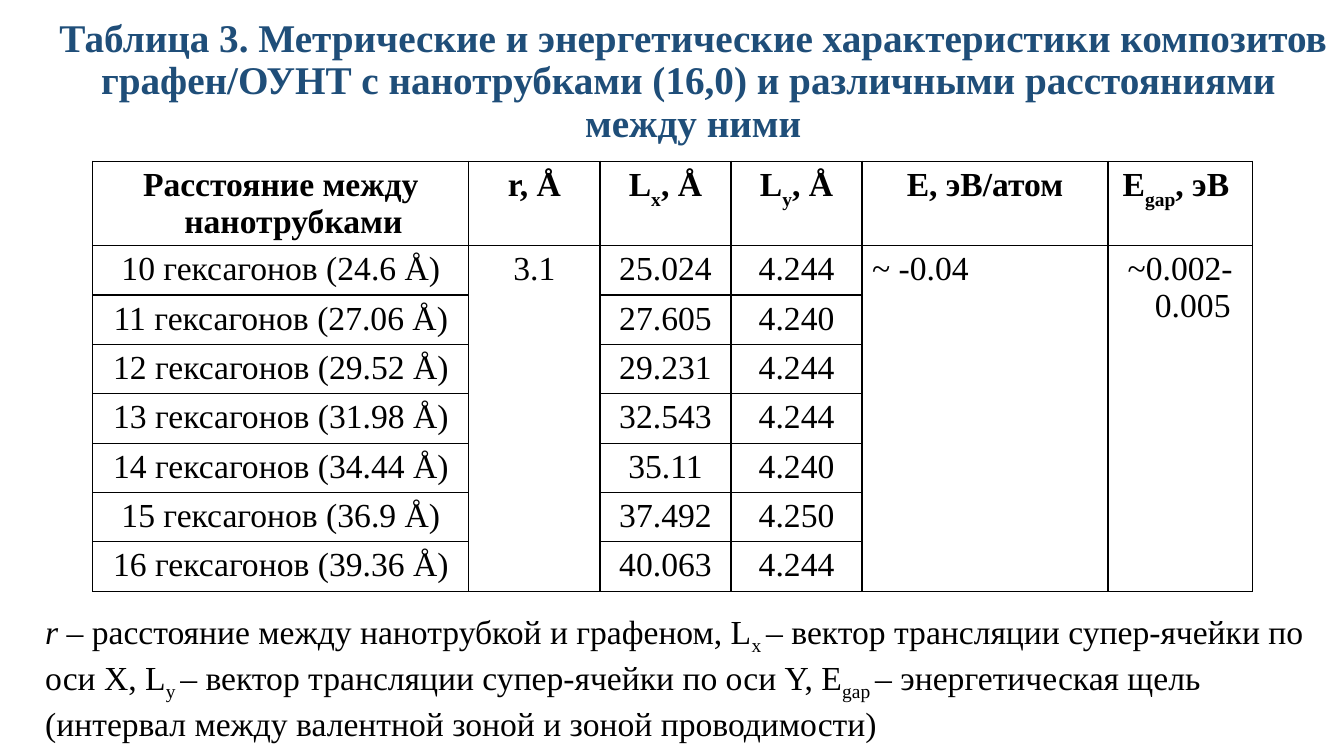
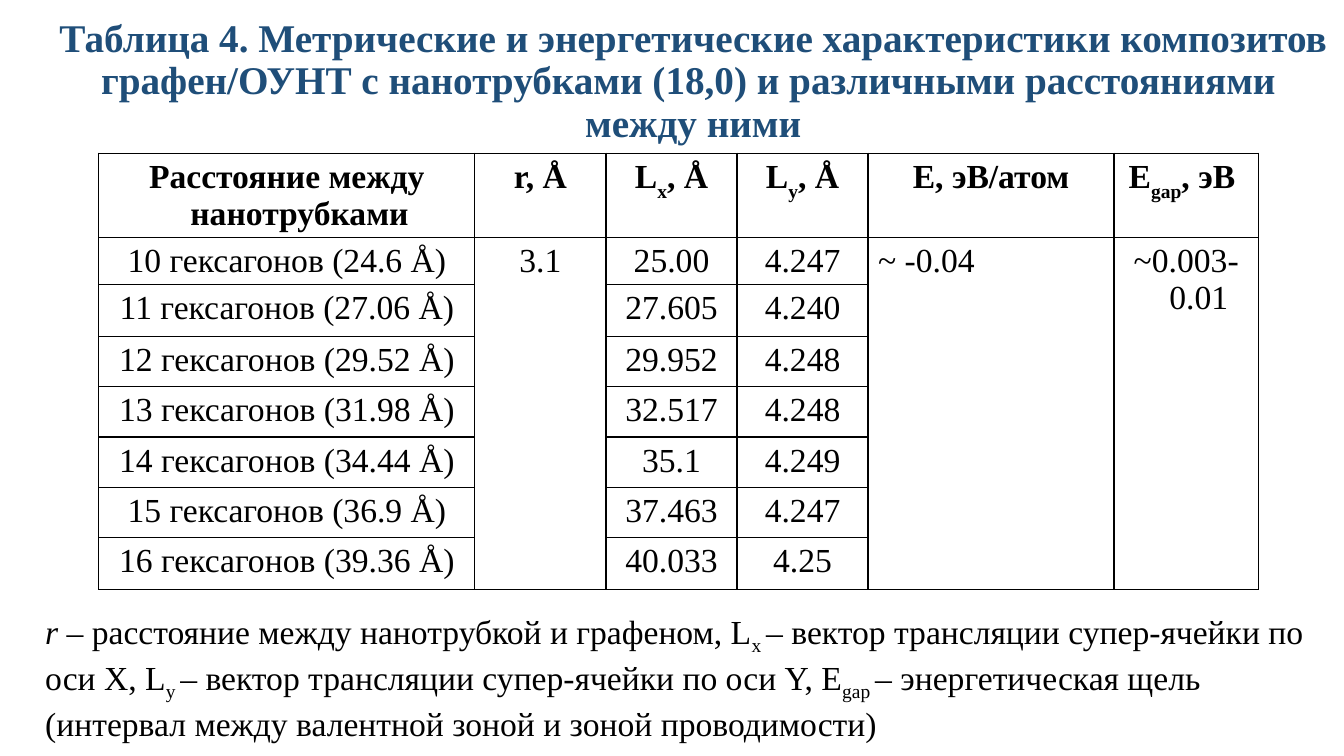
from dataclasses import dataclass
from typing import NamedTuple

from lxml import etree
from pptx import Presentation
from pptx.dml.color import RGBColor
from pptx.enum.text import MSO_ANCHOR, MSO_AUTO_SIZE, PP_ALIGN
from pptx.oxml.ns import qn
from pptx.util import Inches, Pt

BLACK = RGBColor(0x00, 0x00, 0x00)
WHITE = RGBColor(0xFF, 0xFF, 0xFF)
TITLE_BLUE = RGBColor(0x1F, 0x4E, 0x79)
FONT = "Times New Roman"
TITLE_SIZE, TEXT_SIZE = 28, 24
CENTER, LEFT = PP_ALIGN.CENTER, PP_ALIGN.LEFT
MIDDLE, TOP = MSO_ANCHOR.MIDDLE, MSO_ANCHOR.TOP
NO_AUTOFIT = MSO_AUTO_SIZE.NONE
TITLE_ONLY_LAYOUT = 5

COLUMN_WIDTHS = (3.73, 1.3, 1.3, 1.3, 2.44, 1.43)
MERGED_COLUMNS = (1, 4, 5)
ENERGY_COLUMN = 4
HANGING_INDENT = Inches(0.25)


class Box(NamedTuple):
    left: float
    top: float
    width: float
    height: float


class TextRun(NamedTuple):
    text: str
    baseline: int = 0
    italic: bool = False


class Measurement(NamedTuple):
    length_x: str
    length_y: str


@dataclass(frozen=True)
class CompositeTable:
    number: int
    chirality: str
    left: float
    top: float
    row_heights: tuple[float, ...]
    gap: str
    measurements: tuple[Measurement, ...]


TITLE_BOX = Box(0.41, 0.24, 12.93, 1.15)
LEGEND_BOX = Box(0.35, 6.01, 12.75, 1.27)

HEADERS = (
    (TextRun("Расстояние между нанотрубками"),),
    (TextRun("r, Å"),),
    (TextRun("L"), TextRun("x", -30), TextRun(", Å")),
    (TextRun("L"), TextRun("y", -30), TextRun(", Å")),
    (TextRun("E, эВ/атом"),),
    (TextRun("E"), TextRun("gap", -30), TextRun(", эВ ")),
)
DISTANCES = (
    "10 гексагонов (24.6 Å)",
    "11 гексагонов (27.06 Å)",
    "12 гексагонов (29.52 Å)",
    "13 гексагонов (31.98 Å)",
    "14 гексагонов (34.44 Å)",
    "15 гексагонов (36.9 Å)",
    "16 гексагонов (39.36 Å)",
)
RADIUS = "3.1"
ENERGY = "~ -0.04"
LEGEND = (
    TextRun("r", italic=True),
    TextRun(" – расстояние между нанотрубкой и графеном, L"),
    TextRun("x ", -25),
    TextRun("– вектор трансляции супер-ячейки по оси X, L"),
    TextRun("y ", -25),
    TextRun("– вектор трансляции супер-ячейки по оси Y, E"),
    TextRun("gap ", -25),
    TextRun("– энергетическая щель (интервал между валентной зоной и зоной проводимости)"),
)

TABLES = (
    CompositeTable(
        3, "(16,0)", 0.92, 1.6, (0.6,) + (0.49,) * 7, "~0.002-0.005",
        (
            Measurement("25.024", "4.244"),
            Measurement("27.605", "4.240"),
            Measurement("29.231", "4.244"),
            Measurement("32.543", "4.244"),
            Measurement("35.11", "4.240"),
            Measurement("37.492", "4.250"),
            Measurement("40.063", "4.244"),
        ),
    ),
    CompositeTable(
        4, "(18,0)", 0.98, 1.52, (0.65, 0.38, 0.51, 0.5, 0.5, 0.5, 0.5, 0.51), "~0.003-0.01",
        (
            Measurement("25.00", "4.247"),
            Measurement("27.605", "4.240"),
            Measurement("29.952", "4.248"),
            Measurement("32.517", "4.248"),
            Measurement("35.1", "4.249"),
            Measurement("37.463", "4.247"),
            Measurement("40.033", "4.25"),
        ),
    ),
)


def add_run(paragraph, text_run: TextRun, size: int = TEXT_SIZE,
            color: RGBColor = BLACK, bold: bool = False) -> None:
    run = paragraph.add_run()
    run.text = text_run.text
    font = run.font
    font.name, font.size = FONT, Pt(size)
    font.bold, font.italic = bold, text_run.italic
    font.color.rgb = color
    if text_run.baseline:
        run._r.get_or_add_rPr().set("baseline", str(text_run.baseline * 1000))


def add_title(slide, composite: CompositeTable) -> None:
    title = slide.shapes.title
    title.left, title.top, title.width, title.height = map(Inches, TITLE_BOX)
    frame = title.text_frame
    frame.word_wrap = True
    frame.auto_size = NO_AUTOFIT
    frame.vertical_anchor = MIDDLE
    paragraph = frame.paragraphs[0]
    paragraph.alignment = CENTER
    paragraph.line_spacing = 0.9
    first_part = TextRun(
        f"Таблица {composite.number}. Метрические и энергетические характеристики композитов "
        f"графен/ОУНТ с нанотрубками {composite.chirality} и различными расстояниями "
    )
    add_run(paragraph, first_part, TITLE_SIZE, TITLE_BLUE, bold=True)
    paragraph.add_line_break()
    add_run(paragraph, TextRun("между ними"), TITLE_SIZE, TITLE_BLUE, bold=True)


def style_cell(cell) -> None:
    """Give the cell thin black borders and a white fill."""
    properties = cell._tc.get_or_add_tcPr()
    for side in ("a:lnL", "a:lnR", "a:lnT", "a:lnB"):
        line = etree.SubElement(properties, qn(side), w=str(Pt(1)))
        fill = etree.SubElement(line, qn("a:solidFill"))
        etree.SubElement(fill, qn("a:srgbClr"), val=str(BLACK))
    cell.fill.solid()
    cell.fill.fore_color.rgb = WHITE


def write_cell(cell, runs: tuple[TextRun, ...], alignment: PP_ALIGN, bold: bool) -> None:
    paragraph = cell.text_frame.paragraphs[0]
    paragraph.alignment = alignment
    properties = paragraph._p.get_or_add_pPr()
    properties.set("marL", str(HANGING_INDENT))
    properties.set("indent", str(-HANGING_INDENT))
    for text_run in runs:
        add_run(paragraph, text_run, bold=bold)


def add_composite_table(slide, composite: CompositeTable) -> None:
    heights = composite.row_heights
    frame = slide.shapes.add_table(
        len(heights), len(COLUMN_WIDTHS), Inches(composite.left), Inches(composite.top),
        Inches(sum(COLUMN_WIDTHS)), Inches(sum(heights)),
    )
    table = frame.table
    table.first_row = table.horz_banding = False
    for column, width in zip(table.columns, COLUMN_WIDTHS):
        column.width = Inches(width)
    for row, height in zip(table.rows, heights):
        row.height = Inches(height)
    for cell in table.iter_cells():
        style_cell(cell)
    for column in MERGED_COLUMNS:
        table.cell(1, column).merge(table.cell(len(heights) - 1, column))

    for column, runs in enumerate(HEADERS):
        write_cell(table.cell(0, column), runs, CENTER, bold=True)
    shared = dict(zip(MERGED_COLUMNS, (RADIUS, ENERGY, composite.gap)))
    for row, (distance, measurement) in enumerate(zip(DISTANCES, composite.measurements), 1):
        values = {0: distance, 2: measurement.length_x, 3: measurement.length_y}
        if row == 1:
            values.update(shared)
        for column, value in values.items():
            alignment = LEFT if column == ENERGY_COLUMN else CENTER
            write_cell(table.cell(row, column), (TextRun(value),), alignment, bold=False)


def add_legend(slide) -> None:
    frame = slide.shapes.add_textbox(*map(Inches, LEGEND_BOX)).text_frame
    frame.word_wrap = True
    frame.vertical_anchor = TOP
    for text_run in LEGEND:
        add_run(frame.paragraphs[0], text_run)


def main() -> None:
    presentation = Presentation()
    presentation.slide_width, presentation.slide_height = Inches(13.33), Inches(7.5)
    layout = presentation.slide_layouts[TITLE_ONLY_LAYOUT]
    for composite in TABLES:
        slide = presentation.slides.add_slide(layout)
        add_composite_table(slide, composite)
        add_title(slide, composite)
        add_legend(slide)
    presentation.save("out.pptx")


if __name__ == "__main__":
    main()
